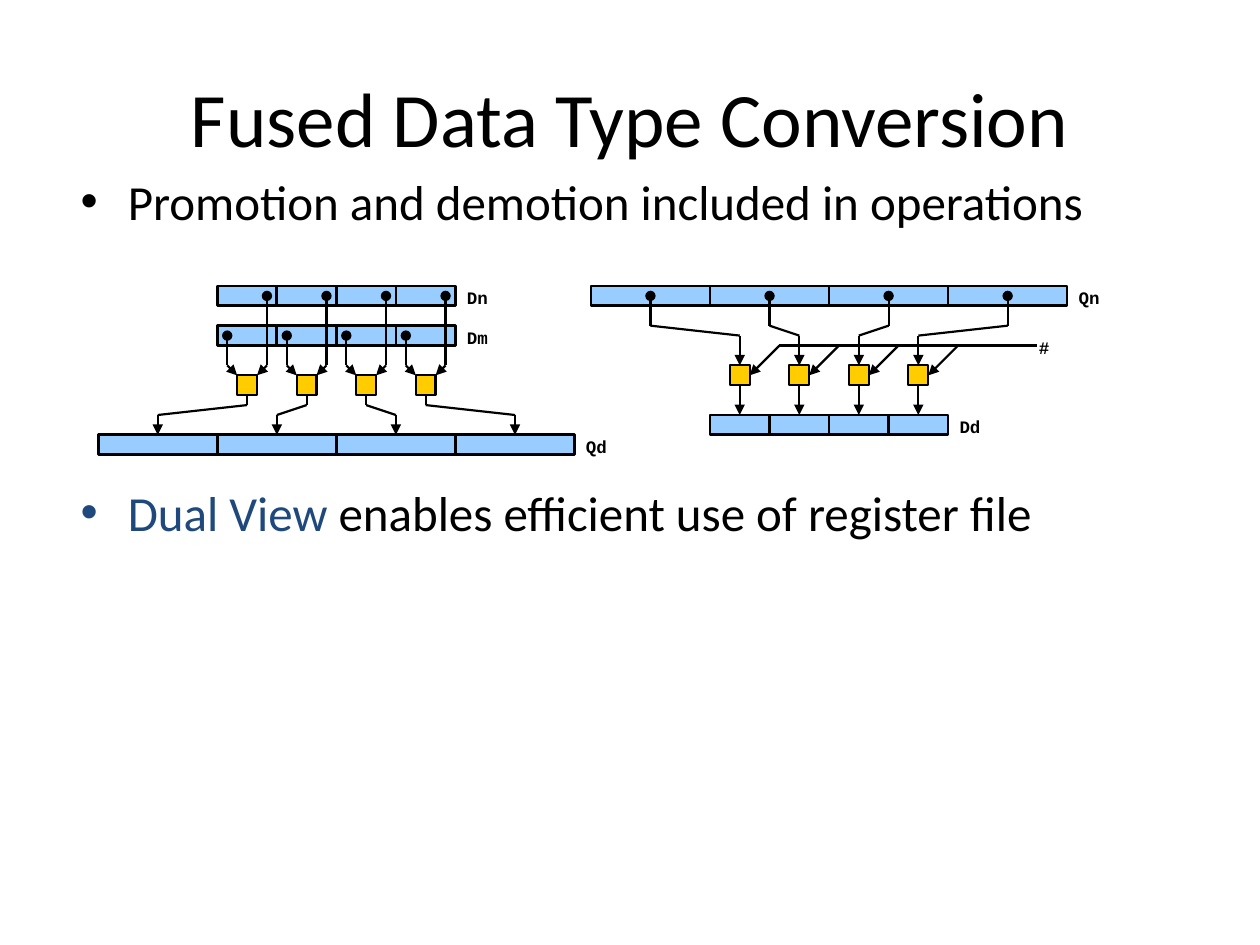
from pptx import Presentation
from pptx.dml.color import RGBColor
from pptx.enum.shapes import MSO_CONNECTOR, MSO_SHAPE
from pptx.enum.text import MSO_ANCHOR, MSO_AUTO_SIZE, PP_ALIGN
from pptx.oxml.ns import qn
from pptx.util import Inches, Pt
from lxml import etree

RECT, STRAIGHT = MSO_SHAPE.RECTANGLE, MSO_CONNECTOR.STRAIGHT
CENTER, MIDDLE, NO_FIT = PP_ALIGN.CENTER, MSO_ANCHOR.MIDDLE, MSO_AUTO_SIZE.NONE
TOP, BOTTOM, RIGHT = 0, 2, 3  # connection sites

THEME = {
    "text": "000000", "accent": "1F497D", "register": "99CCFF", "node": "FFCC00",
    "font": "Calibri", "mono": "Courier New",
    "title": 44, "body": 28, "label": 10, "border": 1.5, "wire": 1.25,
}

# Content
TITLE = "Fused Data Type Conversion"
BULLETS = [  # space before in points, runs
    (0, [("Promotion and demotion included in operations", "text")]),
    (144, [("Dual View", "accent"), (" enables efficient use of register file", "text")]),
]

# Diagram grid: a Q register is 48 units wide, a D register 24
UNIT = 3.78 / 48
LANES = 4
WIDE, NARROW = 12, 6
D_LEFT = 12    # D registers are centred on the Q register
NODE_LEFT = 14
PROMOTE = {  # registers: name, lane width, row; labels: text, column, row
    "origin": (0.78, 2.27), "node_row": 9,
    "registers": [("Dn", NARROW, 0), ("Dm", NARROW, 4), ("Qd", WIDE, 15)],
    "labels": [("Dn", 36, 0), ("Dm", 36, 4), ("Qd", 48, 15)],
}
DEMOTE = {
    "origin": (4.69, 2.27), "node_row": 8,
    "registers": [("Qn", WIDE, 0), ("Dd", NARROW, 13)],
    "labels": [("Qn", 48, 0), ("Dd", 36, 13), ("#", 44, 5)],
}


def color(name):
    return RGBColor.from_string(THEME[name])


def add_run(p, text, size, font="font", fill="text", bold=False):
    r = p.add_run()
    r.text = text
    r.font.name, r.font.size, r.font.bold = THEME[font], Pt(THEME[size]), bold
    r.font.color.rgb = color(fill)


def place(sp, left, top, width, height):
    sp.left, sp.top, sp.width, sp.height = map(Inches, (left, top, width, height))


class Diagram:
    """A group drawn in grid units from its own origin."""

    def __init__(self, slide, data):
        self.shapes = slide.shapes.add_group_shape().shapes
        self.x0, self.y0 = data["origin"]
        self.registers = {
            name: [self.box((D_LEFT if width == NARROW else 0) + i * width, row,
                            width, "register", "border") for i in range(LANES)]
            for name, width, row in data["registers"]
        }
        self.nodes = [self.box(NODE_LEFT + i * NARROW, data["node_row"], 2, "node", "wire")
                      for i in range(LANES)]
        for text, col, row in data["labels"]:
            self.label(text, col, row)

    def at(self, col, row):
        return Inches(self.x0 + col * UNIT), Inches(self.y0 + row * UNIT)

    def box(self, col, row, width, fill, border):
        sp = self.shapes.add_shape(RECT, *self.at(col, row),
                                   Inches(width * UNIT), Inches(2 * UNIT))
        sp.shadow.inherit = False
        sp.fill.solid()
        sp.fill.fore_color.rgb = color(fill)
        sp.line.color.rgb = color("text")
        sp.line.width = Pt(THEME[border])
        return sp

    def wire(self, start, end, head=None, tail=None, begin_at=None, end_at=None):
        line = self.shapes.add_connector(STRAIGHT, *self.at(*start), *self.at(*end))
        line.line.color.rgb = color("text")
        line.line.width = Pt(THEME["wire"])
        ln = line.line._get_or_add_ln()
        for tag, kind in (("a:headEnd", head), ("a:tailEnd", tail)):
            if kind:
                etree.SubElement(ln, qn(tag), type=kind)
        etree.SubElement(ln.getparent(), qn("a:effectLst"))
        if begin_at:
            line.begin_connect(*begin_at)
        if end_at:
            line.end_connect(*end_at)

    def label(self, text, col, row):
        sp = self.shapes.add_textbox(*self.at(col, row), Inches(0.38), Inches(0.22))
        tf = sp.text_frame
        tf.word_wrap = True
        tf.margin_left = tf.margin_right = Inches(0.09)
        tf.margin_top = tf.margin_bottom = Inches(0.04)
        p = tf.paragraphs[0]
        p.line_spacing = 0.8
        add_run(p, text, "label", "mono", bold=True)


def draw_promotion(slide):
    d = Diagram(slide, PROMOTE)
    for i, (node, target) in enumerate(zip(d.nodes, d.registers["Qd"])):
        left = NODE_LEFT + i * NARROW
        mid, out = left + 1, WIDE * i + WIDE / 2
        # Operands from Dm and Dn enter the node's upper corners
        for x, row, corner in ((left - 1, 5, left), (left + 3, 1, left + 2)):
            d.wire((x, row), (x, 8), head="oval")
            d.wire((x, 8), (corner, 9), tail="triangle")
        # The result fans out to a wide lane
        d.wire((mid, 11), (mid, 12), begin_at=(node, BOTTOM))
        d.wire((mid, 12), (out, 13))
        d.wire((out, 13), (out, 15), tail="triangle", end_at=(target, TOP))


def draw_demotion(slide):
    d = Diagram(slide, DEMOTE)
    for i, (node, target) in enumerate(zip(d.nodes, d.registers["Dd"])):
        mid, source = NODE_LEFT + 1 + i * NARROW, WIDE * i + WIDE / 2
        # A wide lane narrows into the node
        d.wire((source, 1), (source, 4), head="oval")
        d.wire((source, 4), (mid, 5))
        d.wire((mid, 5), (mid, 8), tail="triangle", end_at=(node, TOP))
        # The immediate value enters from the right
        d.wire((mid + 4, 6), (mid + 1, 9), tail="triangle", end_at=(node, RIGHT))
        d.wire((mid, 10), (mid, 13), tail="triangle",
               begin_at=(node, BOTTOM), end_at=(target, TOP))
    d.wire((19, 6), (45, 6))


def main():
    prs = Presentation()
    prs.slide_width, prs.slide_height = Inches(10), Inches(7.5)
    slide = prs.slides.add_slide(prs.slide_layouts[1])

    # Title
    title = slide.shapes.title
    place(title, 0.5, 0.3, 9, 1.25)
    title.text_frame.vertical_anchor = MIDDLE
    p = title.text_frame.paragraphs[0]
    p.alignment = CENTER
    add_run(p, TITLE, "title")

    # Bullets, with room for the diagrams between them
    body = slide.placeholders[1]
    place(body, 0.54, 1.31, 8.92, 5.45)
    tf = body.text_frame
    tf.auto_size = NO_FIT
    for i, (space, runs) in enumerate(BULLETS):
        p = tf.add_paragraph() if i else tf.paragraphs[0]
        p.space_before = Pt(space)
        for text, fill in runs:
            add_run(p, text, "body", fill=fill)

    # Diagrams
    draw_promotion(slide)
    draw_demotion(slide)
    prs.save("out.pptx")


if __name__ == "__main__":
    main()
